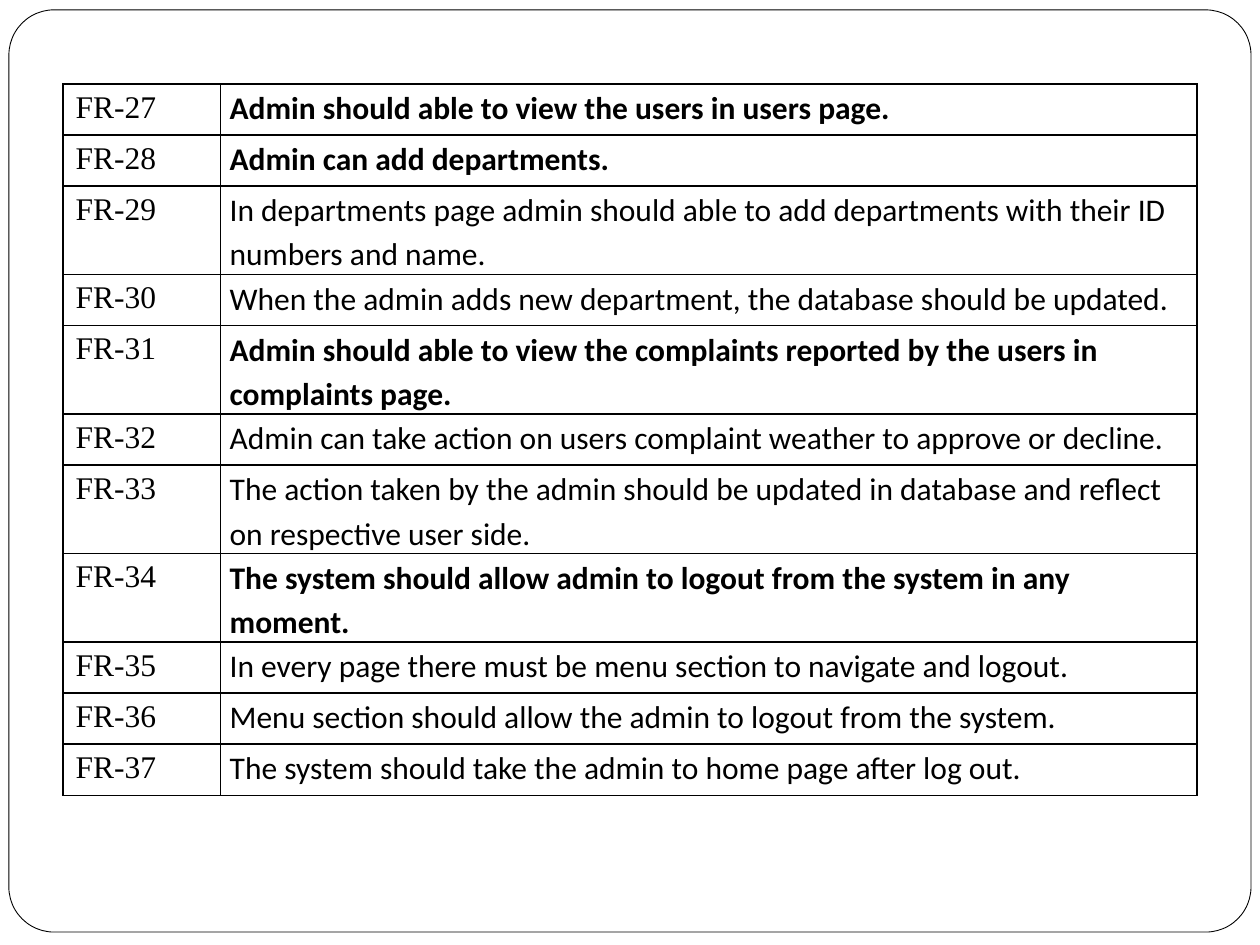
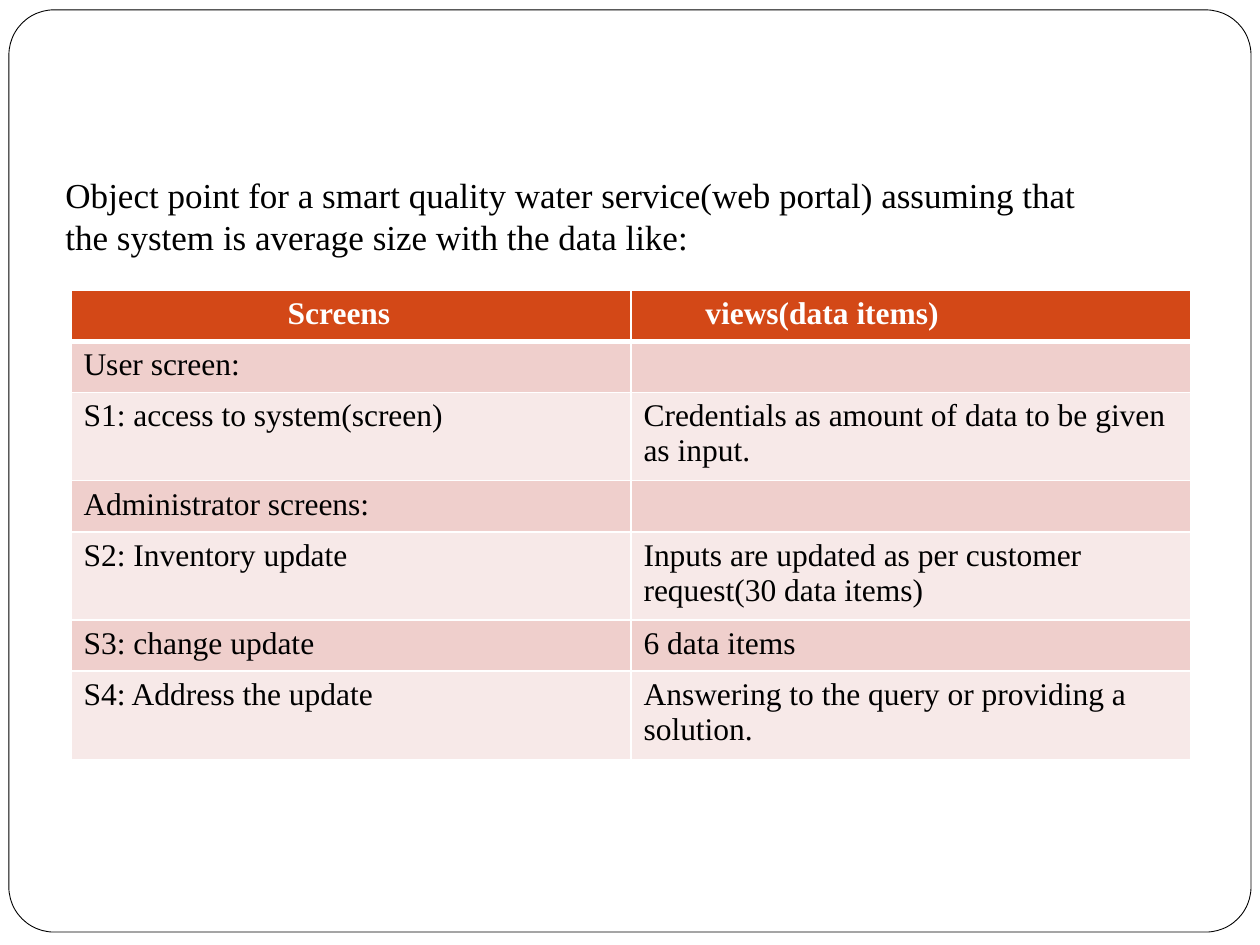
from lxml import etree
from pptx import Presentation
from pptx.dml.color import RGBColor
from pptx.enum.shapes import MSO_SHAPE
from pptx.oxml.ns import qn
from pptx.util import Cm, Pt

ROUNDED = MSO_SHAPE.ROUNDED_RECTANGLE
BLANK_LAYOUT = 6
BLACK, WHITE = "000000", "FFFFFF"
HEADER, BAND_DARK, BAND_LIGHT = "D34817", "EFCFCC", "F7E9E8"
SERIF, SANS = "Times New Roman", "Calibri"
ROW_HEIGHT, WRAPPED_HEIGHT = Cm(1.03), Cm(1.78)

REQUIREMENTS = [
    ("Admin should able to view the users in users page.", True),
    ("Admin can add departments.", True),
    ("In departments page admin should able to add departments with their ID "
     "numbers and name.", False),
    ("When the admin adds new department, the database should be updated.", False),
    ("Admin should able to view the complaints reported by the users in "
     "complaints page.", True),
    ("Admin can take action on users complaint weather to approve or decline.", False),
    ("The action taken by the admin should be updated in database and reflect "
     "on respective user side.", False),
    ("The system should allow admin to logout from the system in any moment.", True),
    ("In every page there must be menu section to navigate and logout.", False),
    ("Menu section should allow the admin to logout from the system.", False),
    ("The system should take the admin to home page after log out.", False),
]
FIRST_REQUIREMENT = 27
WRAPPED_REQUIREMENTS = {2, 4, 6, 7}

OBJECT_POINTS_INTRO = ("Object point for a smart quality water service(web portal) "
                       "assuming that the system is average size with the data like:")
SCREEN_HEADINGS = [("Screens", Cm(4.37)), ("views(data items)", Cm(1.5))]
SCREENS = [
    ("User screen:", ""),
    ("S1: access to system(screen)",
     "Credentials as amount of data to be given as input."),
    ("Administrator screens:", ""),
    ("S2: Inventory update",
     "Inputs are updated as per customer request(30 data items)"),
    ("S3: change update", "6 data items"),
    ("S4: Address the update", "Answering to the query or providing a solution."),
]
WRAPPED_SCREENS = {2, 4, 6}


def rgb(value):
    """Turn a hex string into a colour."""
    return RGBColor.from_string(value)


def add_run(paragraph, text, font=SERIF, size=18, color=BLACK, bold=False):
    """Append a formatted run to a paragraph."""
    run = paragraph.add_run()
    run.text = text
    run.font.name = font
    run.font.size = Pt(size)
    run.font.bold = bold
    run.font.color.rgb = rgb(color)


def add_framed_slide(prs):
    """Add a blank slide with the shared rounded frame."""
    slide = prs.slides.add_slide(prs.slide_layouts[BLANK_LAYOUT])
    frame = slide.shapes.add_shape(ROUNDED, Cm(0.18), Cm(0.2), Cm(25.04), Cm(18.59))
    frame.adjustments[0] = 0.049
    frame.shadow.inherit = False
    frame.fill.solid()
    frame.fill.fore_color.rgb = rgb(WHITE)
    frame.line.color.rgb = rgb(BLACK)
    frame.line.width = Pt(0.5)
    return slide


def set_borders(cell, color, top=1, bottom=1):
    """Draw the four borders of a cell, with widths in points."""
    properties = cell._tc.get_or_add_tcPr()
    widths = {"a:lnL": 1, "a:lnR": 1, "a:lnT": top, "a:lnB": bottom}
    for position, (side, width) in enumerate(widths.items()):
        line = etree.Element(qn(side), w=str(Pt(width)))
        fill = etree.SubElement(line, qn("a:solidFill"))
        etree.SubElement(fill, qn("a:srgbClr"), val=color)
        properties.insert(position, line)


def add_plain_table(slide, left, top, widths, row_count, wrapped_rows):
    """Add an unbanded table whose wrapped rows are two lines high."""
    table = slide.shapes.add_table(row_count, len(widths), left, top, sum(widths),
                                   ROW_HEIGHT * row_count).table
    table.first_row = table.horz_banding = False
    for column, width in zip(table.columns, widths):
        column.width = width
    for index, row in enumerate(table.rows):
        row.height = WRAPPED_HEIGHT if index in wrapped_rows else ROW_HEIGHT
    return table


def fill_screen_cell(cell, text, fill, color=BLACK, bold=False, top=1, bottom=1):
    """Write, colour and border one cell of the screens table."""
    cell.fill.solid()
    cell.fill.fore_color.rgb = rgb(fill)
    set_borders(cell, WHITE, top, bottom)
    if text:
        add_run(cell.text_frame.paragraphs[0], text, color=color, bold=bold)


def add_requirements(slide):
    """Add the table of numbered functional requirements."""
    table = add_plain_table(slide, Cm(1.27), Cm(1.69), [Cm(3.17), Cm(19.69)],
                            len(REQUIREMENTS), WRAPPED_REQUIREMENTS)
    for index, (requirement, bold) in enumerate(REQUIREMENTS):
        number, wording = table.cell(index, 0), table.cell(index, 1)
        for cell in (number, wording):
            cell.fill.background()
            set_borders(cell, BLACK)
        add_run(number.text_frame.paragraphs[0], f"FR-{FIRST_REQUIREMENT + index}")
        wording.margin_left = wording.margin_right = Cm(0.19)
        wording.margin_top = wording.margin_bottom = 0
        paragraph = wording.text_frame.paragraphs[0]
        paragraph.line_spacing = 1.15
        add_run(paragraph, requirement, font=SANS, bold=bold)


def add_intro(slide):
    """Add the sentence that introduces the object points."""
    intro = slide.shapes.add_textbox(Cm(1.07), Cm(3.38), Cm(21.8), Cm(5.38))
    intro.text_frame.word_wrap = True
    add_run(intro.text_frame.paragraphs[0], OBJECT_POINTS_INTRO, size=20)


def add_screens(slide):
    """Add the table of screens and their data items."""
    table = add_plain_table(slide, Cm(1.43), Cm(5.85), [Cm(11.29)] * 2,
                            len(SCREENS) + 1, WRAPPED_SCREENS)
    table.first_row = True
    for column, (heading, indent) in enumerate(SCREEN_HEADINGS):
        cell = table.cell(0, column)
        cell.margin_left = indent
        fill_screen_cell(cell, heading, HEADER, color=WHITE, bold=True, bottom=3)
    for row, entries in enumerate(SCREENS, start=1):
        band = BAND_DARK if row % 2 else BAND_LIGHT
        for column, entry in enumerate(entries):
            fill_screen_cell(table.cell(row, column), entry, band,
                             top=3 if row == 1 else 1)


def main():
    """Build and save the two slides."""
    prs = Presentation()
    prs.slide_width, prs.slide_height = Cm(25.4), Cm(19.05)
    add_requirements(add_framed_slide(prs))
    object_points = add_framed_slide(prs)
    add_intro(object_points)
    add_screens(object_points)
    prs.save("out.pptx")


if __name__ == "__main__":
    main()
